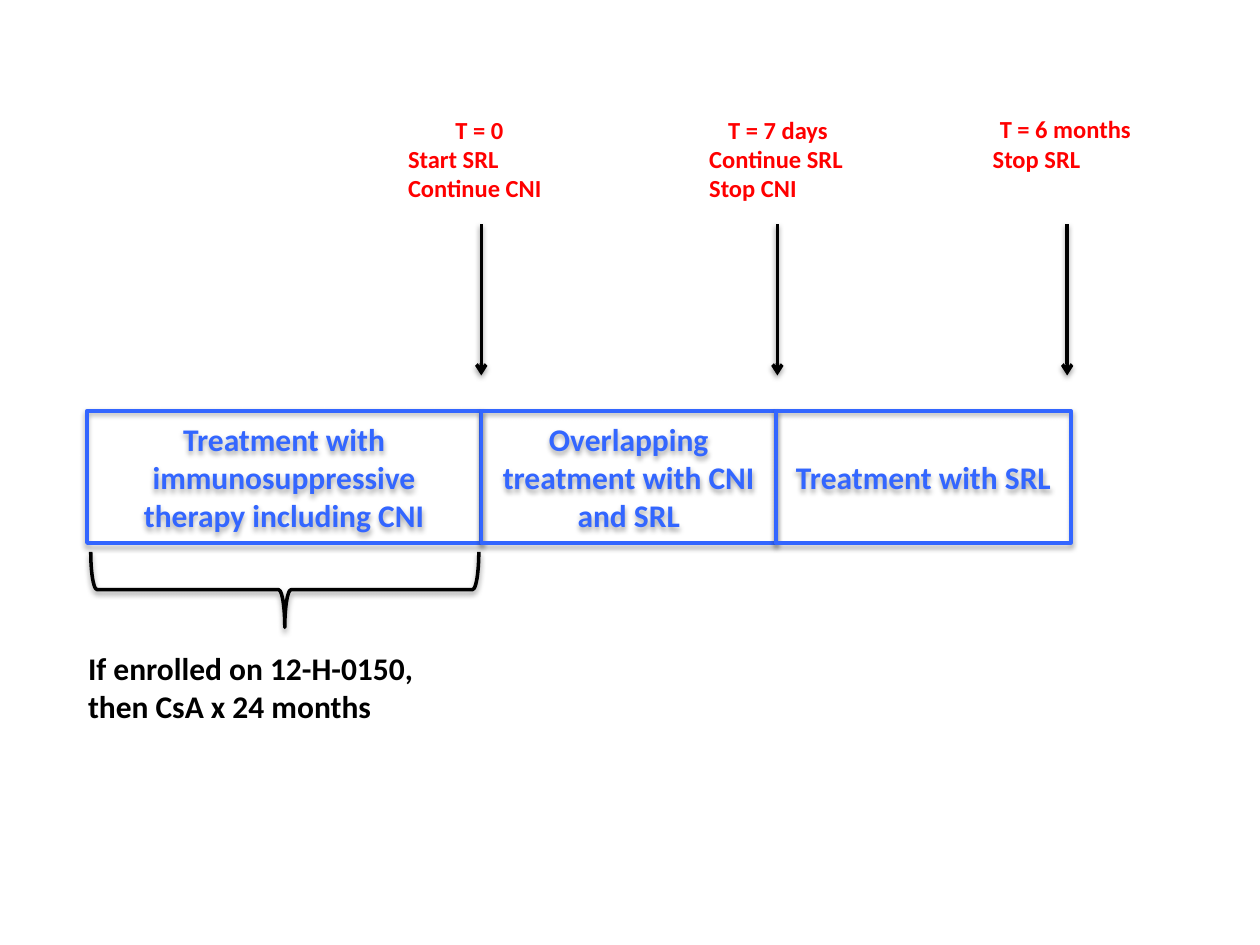
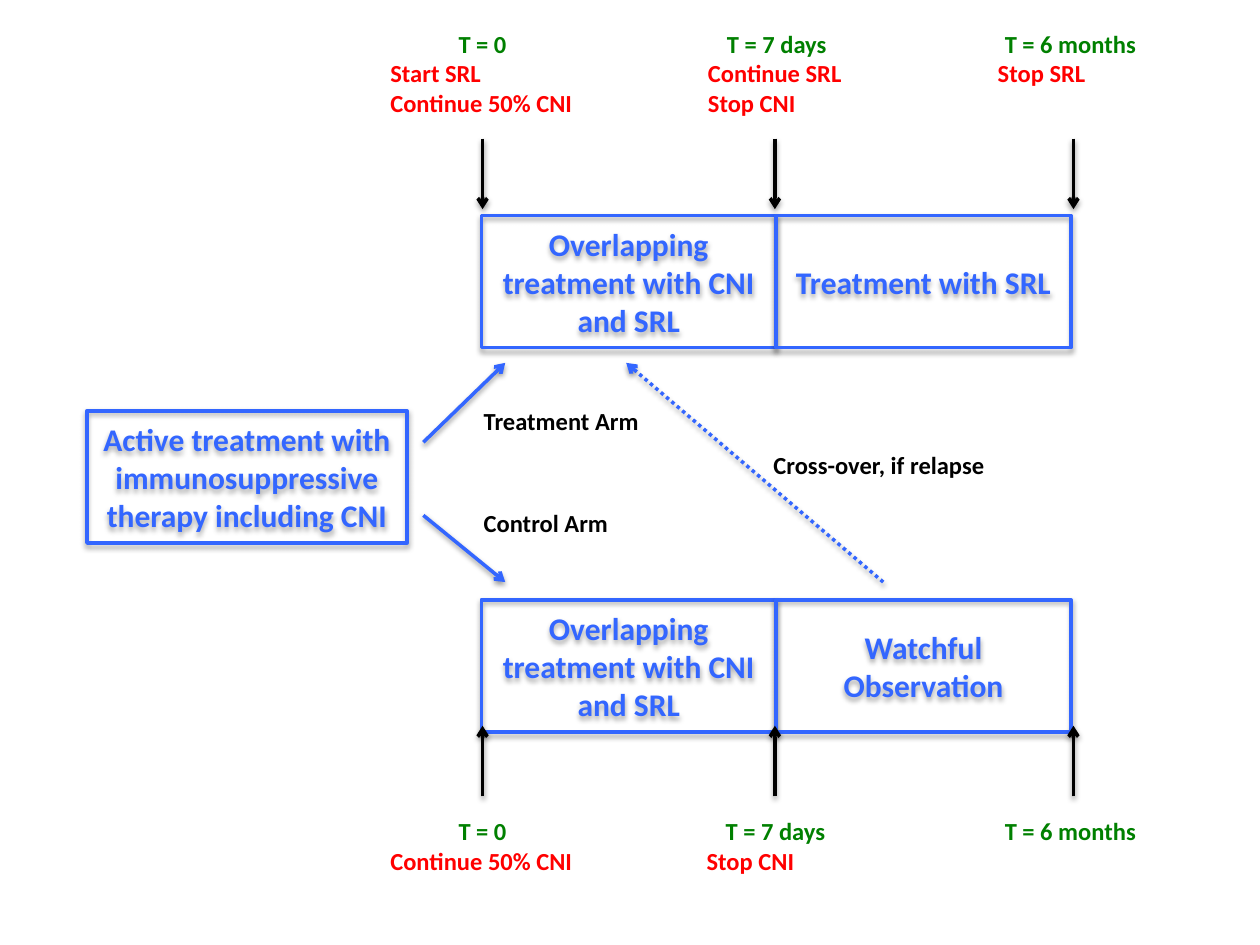
import pptx
import pptx.util
import pptx.dml.color
import pptx.enum.dml
import pptx.enum.shapes
import pptx.enum.text
import pptx.oxml
import pptx.oxml.ns

COLORS = {"phase": "3366FF", "ink": "000000", "action": "FF0000", "time": "008000"}
FONT = "Calibri"
COLUMN_EDGES = [0.69, 3.82, 6.16, 8.5]
PHASE_HEIGHT = 1.05
MIDDLE_ROW, UPPER_ROW, LOWER_ROW = 3.26, 1.71, 4.76
LINE_HEIGHT, INSET = 0.235, 0.05
OVERLAP = "Overlapping treatment with CNI and SRL"


def inches(*lengths):
    return [pptx.util.Inches(length) for length in lengths]


def rgb(name):
    return pptx.dml.color.RGBColor.from_string(COLORS[name])


def style_paragraph(paragraph, text, size, color, centered):
    paragraph.text = text
    paragraph.font.name = FONT
    paragraph.font.size = pptx.util.Pt(size)
    paragraph.font.bold = True
    paragraph.font.color.rgb = rgb(color)
    align = pptx.enum.text.PP_ALIGN
    paragraph.alignment = align.CENTER if centered else align.LEFT


def outline(element, color):
    element.line.color.rgb = rgb(color)
    element.line.width = pptx.util.Pt(2)


def cast_shadow(element, distance, opacity):
    properties = element._element.spPr
    for effects in properties.findall(pptx.oxml.ns.qn("a:effectLst")):
        properties.remove(effects)
    properties.append(pptx.oxml.parse_xml(
        f'<a:effectLst {pptx.oxml.ns.nsdecls("a")}>'
        f'<a:outerShdw blurRad="{pptx.util.Pt(3.1)}" dist="{pptx.util.Pt(distance)}" '
        'dir="5400000" rotWithShape="0"><a:srgbClr val="000000">'
        f'<a:alpha val="{opacity * 1000}"/></a:srgbClr></a:outerShdw></a:effectLst>'))


def add_phase(slide, left, right, top, text):
    phase = slide.shapes.add_shape(
        pptx.enum.shapes.MSO_SHAPE.RECTANGLE,
        *inches(left, top, right - left, PHASE_HEIGHT))
    phase.fill.background()
    outline(phase, "phase")
    cast_shadow(phase, 1.8, 35)
    frame = phase.text_frame
    frame.word_wrap = True
    frame.vertical_anchor = pptx.enum.text.MSO_ANCHOR.MIDDLE
    style_paragraph(frame.paragraphs[0], text, 18, "phase", True)


def add_phases(slide, first_column, top, texts):
    for column, text in enumerate(texts, first_column):
        add_phase(slide, COLUMN_EDGES[column], COLUMN_EDGES[column + 1], top, text)


def add_arrow(slide, start, end, color="ink", dotted=False):
    arrow = slide.shapes.add_connector(
        pptx.enum.shapes.MSO_CONNECTOR.STRAIGHT, *inches(*start, *end))
    outline(arrow, color)
    if dotted:
        arrow.line.dash_style = pptx.enum.dml.MSO_LINE.ROUND_DOT
    arrow.line._get_or_add_ln().append(pptx.oxml.parse_xml(
        f'<a:tailEnd {pptx.oxml.ns.nsdecls("a")} type="arrow"/>'))
    cast_shadow(arrow, 1.6, 38)


def add_text(slide, left, top, width, height):
    box = slide.shapes.add_textbox(*inches(left, top, width, height))
    box.text_frame.word_wrap = True
    box.text_frame.auto_size = pptx.enum.text.MSO_AUTO_SIZE.SHAPE_TO_FIT_TEXT
    return box.text_frame


def add_label(slide, left, top, width, text, size=14, lines=1):
    height = lines * LINE_HEIGHT * size / 14 + 2 * INSET
    frame = add_text(slide, left, top, width, height)
    style_paragraph(frame.paragraphs[0], text, size, "ink", False)


def add_milestone(slide, left, top, width, time, actions, time_color):
    height = (1 + len(actions)) * LINE_HEIGHT + 2 * INSET
    frame = add_text(slide, left, top, width, height)
    style_paragraph(frame.paragraphs[0], time, 14, time_color, True)
    for action in actions:
        style_paragraph(frame.add_paragraph(), action, 14, "action", False)


def add_milestones(slide, milestones, top, arrow_start, arrow_end, time_color):
    for arrow_x, left, width, time, actions in milestones:
        add_arrow(slide, (arrow_x, arrow_start), (arrow_x, arrow_end))
        add_milestone(slide, left, top, width, time, actions, time_color)


def add_brace(slide, left, top, width, height):
    brace = slide.shapes.add_shape(
        pptx.enum.shapes.MSO_SHAPE.RIGHT_BRACE,
        *inches(left + (width - height) / 2, top + (height - width) / 2, height, width))
    brace.rotation = 90
    brace.fill.background()
    outline(brace, "ink")
    cast_shadow(brace, 1.6, 38)


def build_timeline(slide):
    add_phases(slide, 0, MIDDLE_ROW, [
        "Treatment with immunosuppressive therapy including CNI",
        OVERLAP, "Treatment with SRL"])
    add_milestones(slide, [
        (3.82, 3.14, 1.33, "T = 0", ["Start SRL", "Continue CNI"]),
        (6.17, 5.53, 1.29, "T = 7 days", ["Continue SRL", "Stop CNI"]),
        (8.47, 7.78, 1.35, "T = 6 months", ["Stop SRL"]),
    ], 0.86, 1.78, 2.98, "action")
    add_brace(slide, 0.72, 4.38, 3.08, 0.6)
    add_label(slide, 0.6, 5.1, 3.31,
              "If enrolled on 12-H-0150, then CsA x 24 months", 18, 2)


def build_arms(slide):
    add_phase(slide, COLUMN_EDGES[0], 3.23, MIDDLE_ROW,
              "Active treatment with immunosuppressive therapy including CNI")
    add_phases(slide, 1, UPPER_ROW, [OVERLAP, "Treatment with SRL"])
    add_phases(slide, 1, LOWER_ROW, [OVERLAP, "Watchful Observation"])
    add_milestones(slide, [
        (3.83, 3, 1.66, "T = 0", ["Start SRL", "Continue 50% CNI"]),
        (6.15, 5.52, 1.29, "T = 7 days", ["Continue SRL", "Stop CNI"]),
        (8.52, 7.82, 1.35, "T = 6 months", ["Stop SRL"]),
    ], 0.18, 1.1, 1.66, "time")
    add_milestones(slide, [
        (3.83, 3, 1.66, "T = 0", ["Continue 50% CNI"]),
        (6.15, 5.51, 1.29, "T = 7 days", ["Stop CNI"]),
        (8.52, 7.82, 1.35, "T = 6 months", []),
    ], 6.43, 6.32, 5.76, "time")
    add_arrow(slide, (3.36, 3.51), (4.01, 2.88), "phase")
    add_arrow(slide, (3.36, 4.09), (4.01, 4.62), "phase")
    add_arrow(slide, (7.01, 4.62), (4.97, 2.88), "phase", dotted=True)
    add_label(slide, 3.74, 3.17, 1.52, "Treatment Arm")
    add_label(slide, 3.74, 3.98, 1.52, "Control Arm")
    add_label(slide, 6.04, 3.52, 1.9, "Cross-over, if relapse")


def main():
    deck = pptx.Presentation()
    deck.slide_width, deck.slide_height = inches(10, 7.5)
    for build in (build_timeline, build_arms):
        build(deck.slides.add_slide(deck.slide_layouts[6]))
    deck.save("out.pptx")


main()
